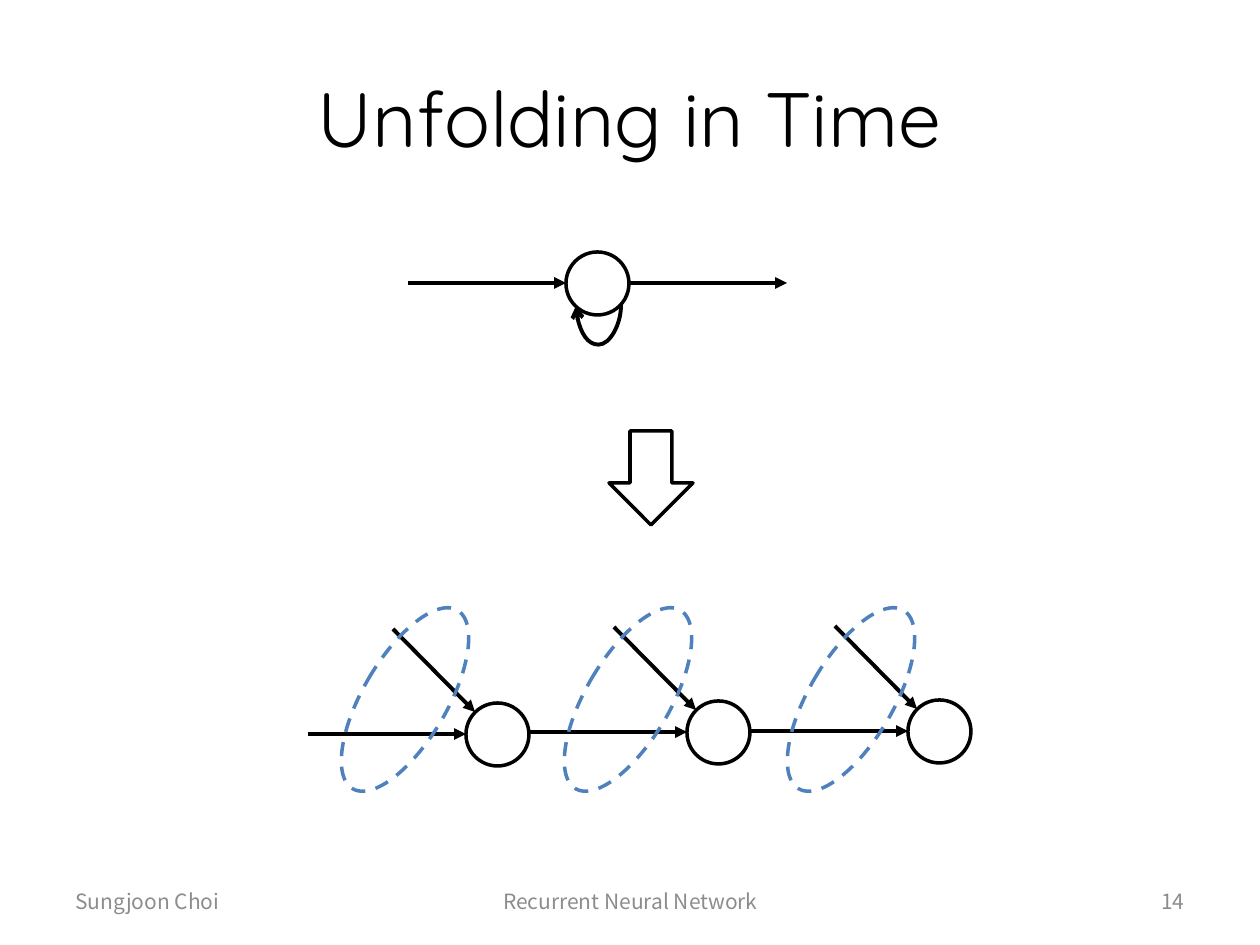
from lxml import etree
from pptx import Presentation
from pptx.dml.color import RGBColor
from pptx.enum.dml import MSO_LINE
from pptx.enum.shapes import MSO_CONNECTOR, MSO_SHAPE
from pptx.enum.text import MSO_ANCHOR, PP_ALIGN
from pptx.oxml.ns import qn
from pptx.util import Emu, Pt

STRAIGHT, CURVE = MSO_CONNECTOR.STRAIGHT, MSO_CONNECTOR.CURVE
OVAL, DOWN_ARROW = MSO_SHAPE.OVAL, MSO_SHAPE.DOWN_ARROW
LEFT, CENTER, RIGHT = PP_ALIGN.LEFT, PP_ALIGN.CENTER, PP_ALIGN.RIGHT
MIDDLE, DASH = MSO_ANCHOR.MIDDLE, MSO_LINE.DASH
COLORS = {"ink": "000000", "footer": "8C8C8C", "group": "4F81BD"}
SCALE = 914400 / 126
DIAMETER, ARROW_LENGTH = 63, 158


def px(*lengths):
    return [Emu(round(length * SCALE)) for length in lengths]


def add_arrow(kind, ends, head):
    arrow = page.shapes.add_connector(kind, *px(*ends))
    arrow.line.width = Pt(2.25)
    arrow.line.color.rgb = RGBColor.from_string(COLORS["ink"])
    etree.SubElement(arrow.line._get_or_add_ln(), qn("a:tailEnd"), type=head)
    etree.SubElement(arrow._element.spPr, qn("a:effectLst"))
    return arrow


deck = Presentation()
deck.slide_width, deck.slide_height = px(1260, 945)
page = deck.slides.add_slide(deck.slide_layouts[5])

title = page.shapes.title
title.left, title.top, title.width, title.height = px(63, 38, 1134, 158)
number = page.shapes.add_textbox(*px(903, 876, 294, 50))
topic = page.shapes.add_textbox(*px(431, 876, 399, 50))
author = page.shapes.add_textbox(*px(63, 876, 294, 50))

for box, text, align, face, size, color in [
    (title, "Unfolding in Time", CENTER, "Quicksand", 44, "ink"),
    (number, "14", RIGHT, "Noto Sans CJK TC", 12, "footer"),
    (topic, "Recurrent Neural Network", CENTER, "Noto Sans CJK TC", 12, "footer"),
    (author, "Sungjoon Choi", LEFT, "Noto Sans CJK TC", 12, "footer"),
]:
    box.text_frame.word_wrap = True
    box.text_frame.vertical_anchor = MIDDLE
    para = box.text_frame.paragraphs[0]
    para.alignment = align
    span = para.add_run()
    span.text = text
    for name, value in {"name": face, "size": Pt(size)}.items():
        setattr(span.font, name, value)
    span.font.color.rgb = RGBColor.from_string(COLORS[color])

for start in (408, 629):
    add_arrow(STRAIGHT, (start, 283, start + ARROW_LENGTH, 283), "triangle")

loop = add_arrow(CURVE, (598, 283, 599, 328), "arrow")
loop._element.spPr.find(qn("a:xfrm")).set("rot", str(90 * 60000))
guides = loop._element.spPr.find(qn("a:prstGeom")).get_or_add_avLst()
etree.SubElement(guides, qn("a:gd"), name="adj1", fmla="val 4000000")

outlines = [
    (OVAL, (566, 252, DIAMETER, DIAMETER), "ink", 0, None),
    (DOWN_ARROW, (609, 431, 84, 94), "ink", 0, None),
]
for step, top in enumerate((703, 701, 700)):
    left = 466 + 221 * step
    middle = top + DIAMETER // 2
    add_arrow(STRAIGHT, (left - ARROW_LENGTH, middle, left, middle), "triangle")
    add_arrow(STRAIGHT, (left - 73, top - 74, left + 9, top + 9), "triangle")
    outlines.append((OVAL, (left, top, DIAMETER, DIAMETER), "ink", 0, None))
for step in range(3):
    outlines.append((OVAL, (363 + 223 * step, 596, 84, 207), "group", 30.4, DASH))

for kind, bounds, color, angle, dash in outlines:
    outline = page.shapes.add_shape(kind, *px(*bounds))
    outline.shadow.inherit = False
    outline.rotation = angle
    outline.fill.background()
    outline.line.color.rgb = RGBColor.from_string(COLORS[color])
    for name, value in {"width": Pt(2), "dash_style": dash}.items():
        setattr(outline.line, name, value)

deck.save("out.pptx")
